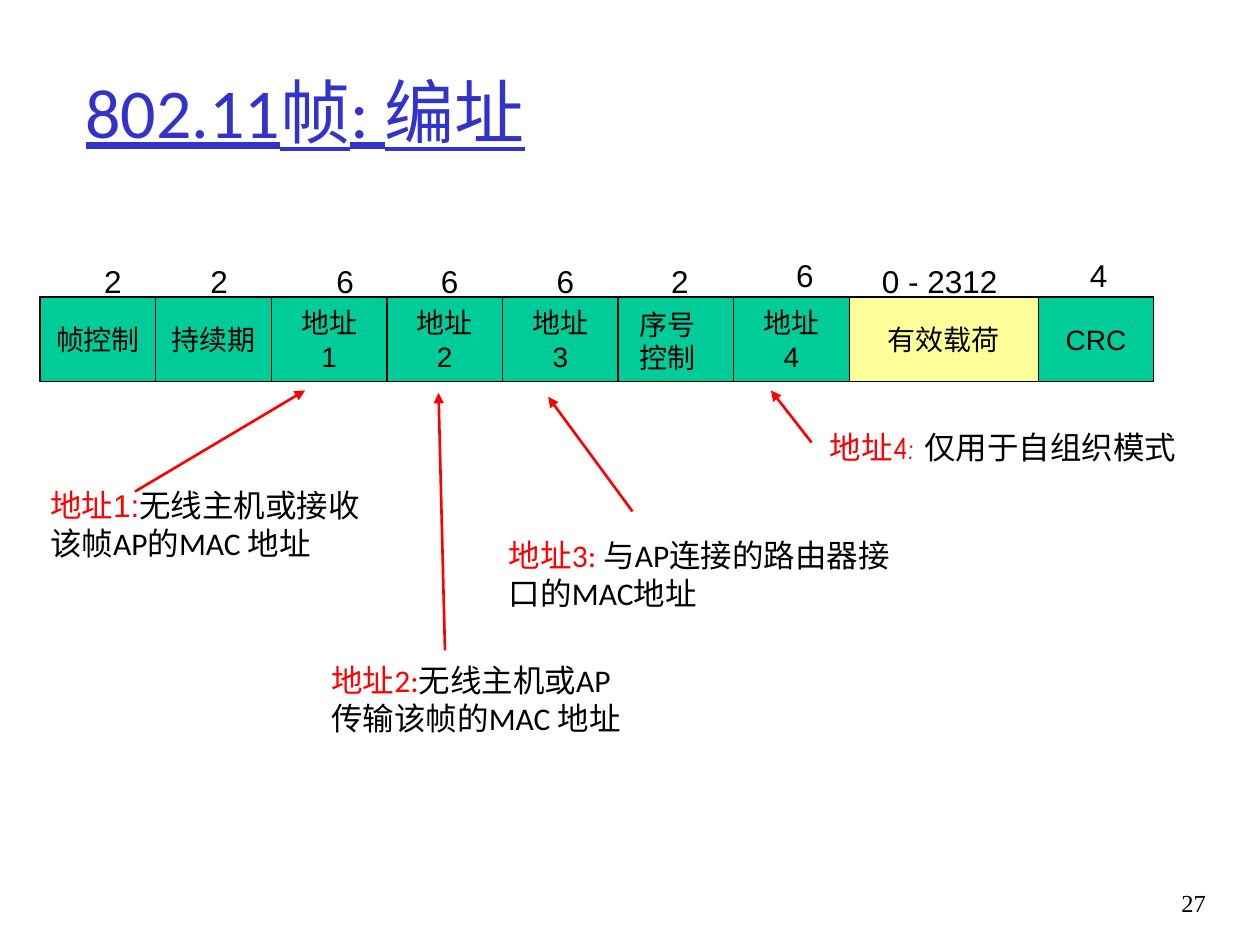
import pptx
import pptx.dml.color
import pptx.enum.shapes
import pptx.enum.text
import pptx.oxml
import pptx.oxml.ns
import pptx.util
from pptx.util import Cm

ALIGN = pptx.enum.text.PP_ALIGN
MIDDLE = pptx.enum.text.MSO_ANCHOR.MIDDLE
RED, BLACK = "FF0000", "000000"
GREEN, YELLOW, BLUE = "00CC99", "FFFF99", "3333CC"


def color(value):
    return pptx.dml.color.RGBColor.from_string(value)


def write(shape, paragraphs, size, align=ALIGN.LEFT, wrap=True):
    frame = shape.text_frame
    frame.word_wrap = wrap
    for index, runs in enumerate(paragraphs):
        paragraph = frame.add_paragraph() if index else frame.paragraphs[0]
        paragraph.alignment = align
        for text, font_name, font_color in runs:
            run = paragraph.add_run()
            run.text = text
            run.font.name = font_name
            run.font.size = pptx.util.Pt(size)
            run.font.color.rgb = color(font_color)


presentation = pptx.Presentation()
presentation.slide_width = Cm(25.4)
presentation.slide_height = Cm(19.05)
slide = presentation.slides.add_slide(presentation.slide_layouts[5])
shapes = slide.shapes

title = shapes.title
title.left, title.top, title.width, title.height = Cm(1.47), Cm(0.64), Cm(21.59), Cm(3.18)
title.text_frame.vertical_anchor = MIDDLE
write(title, [[("802.11帧: 编址", "Calibri", BLUE)]], 40)
title.text_frame.paragraphs[0].runs[0].font.underline = True

fields = [
    (["帧控制"], 2.33, GREEN),
    (["持续期"], 2.33, GREEN),
    (["地址", "1"], 2.33, GREEN),
    (["地址", "2"], 2.33, GREEN),
    (["地址", "3"], 2.33, GREEN),
    ([], 2.33, GREEN),
    (["地址", "4"], 2.33, GREEN),
    (["有效载荷"], 3.81, YELLOW),
    (["CRC"], 2.33, GREEN),
]
left = 0.81
for lines, width, fill in fields:
    field = shapes.add_shape(
        pptx.enum.shapes.MSO_SHAPE.RECTANGLE, Cm(left), Cm(5.99), Cm(width), Cm(1.7))
    field.shadow.inherit = False
    field.fill.solid()
    field.fill.fore_color.rgb = color(fill)
    field.line.color.rgb = color(BLACK)
    field.line.width = pptx.util.Pt(0.75)
    field.text_frame.vertical_anchor = MIDDLE
    write(field, [[(line, "Arial", BLACK)] for line in lines], 16, ALIGN.CENTER, False)
    left += width

sequence_label = shapes.add_textbox(Cm(12.62), Cm(6.07), Cm(1.68), Cm(1.63))
write(sequence_label, [[("序号控制", "Arial", BLACK)]], 16, ALIGN.CENTER)

byte_counts = [
    ("2", 1.85, 5.16, 0.86),
    ("2", 3.99, 5.16, 0.86),
    ("6", 6.53, 5.16, 0.86),
    ("6", 8.64, 5.16, 0.86),
    ("6", 10.97, 5.16, 0.86),
    ("2", 13.28, 5.16, 0.86),
    ("6", 15.8, 5.03, 0.86),
    ("0 - 2312", 17.53, 5.16, 2.84),
    ("4", 21.72, 5.03, 0.86),
]
for count, left, top, width in byte_counts:
    label = shapes.add_textbox(Cm(left), Cm(top), Cm(width), Cm(1.02))
    write(label, [[(count, "Arial", BLACK)]], 18, wrap=False)

notes = [
    (0.76, 9.68, 7.19, 1.78, "地址1:", "Arial", "Calibri",
     ["无线主机或接收该帧AP的MAC 地址"]),
    (6.43, 13.21, 6.55, 1.78, "地址2:", "Calibri", "Calibri",
     ["无线主机或AP", "传输该帧的MAC 地址"]),
    (10.01, 10.69, 8.48, 1.78, "地址3: ", "Calibri", "Calibri",
     ["与AP连接的路由器接口的MAC地址"]),
    (16.48, 8.51, 8.26, 1.02, "地址4: ", "Comic Neue", "Comic Neue",
     ["仅用于自组织模式"]),
]
for left, top, width, height, heading, heading_font, body_font, lines in notes:
    note = shapes.add_textbox(Cm(left), Cm(top), Cm(width), Cm(height))
    paragraphs = [[(line, body_font, BLACK)] for line in lines]
    paragraphs[0].insert(0, (heading, heading_font, RED))
    write(note, paragraphs, 18)

arrows = [
    (2.72, 9.91, 6.15, 7.87),
    (8.97, 13.11, 8.84, 7.92),
    (12.75, 10.31, 11.05, 8),
    (16.36, 8.92, 15.54, 7.87),
]
for ends in arrows:
    arrow = shapes.add_connector(
        pptx.enum.shapes.MSO_CONNECTOR.STRAIGHT, *[Cm(end) for end in ends])
    arrow.line.color.rgb = color(RED)
    arrow.line.width = pptx.util.Pt(1.5)
    head = pptx.oxml.parse_xml(
        f'<a:tailEnd {pptx.oxml.ns.nsdecls("a")} type="triangle"/>')
    arrow.line._get_or_add_ln().append(head)
    arrow._element.spPr.append(
        pptx.oxml.parse_xml(f'<a:effectLst {pptx.oxml.ns.nsdecls("a")}/>'))

page_number = shapes.add_textbox(Cm(22.68), Cm(17.78), Cm(1.88), Cm(1.27))
write(page_number, [[("27", "Times New Roman", BLACK)]], 14, ALIGN.RIGHT)

presentation.save("out.pptx")
